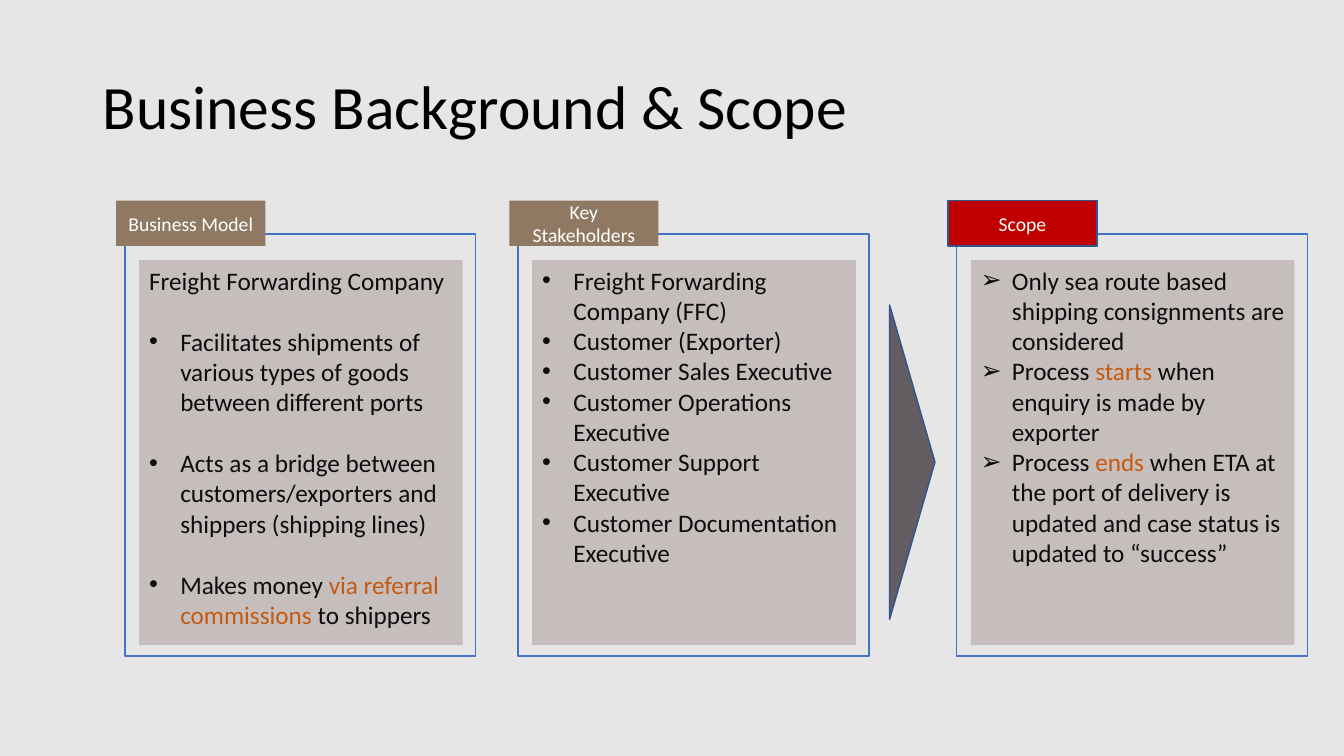
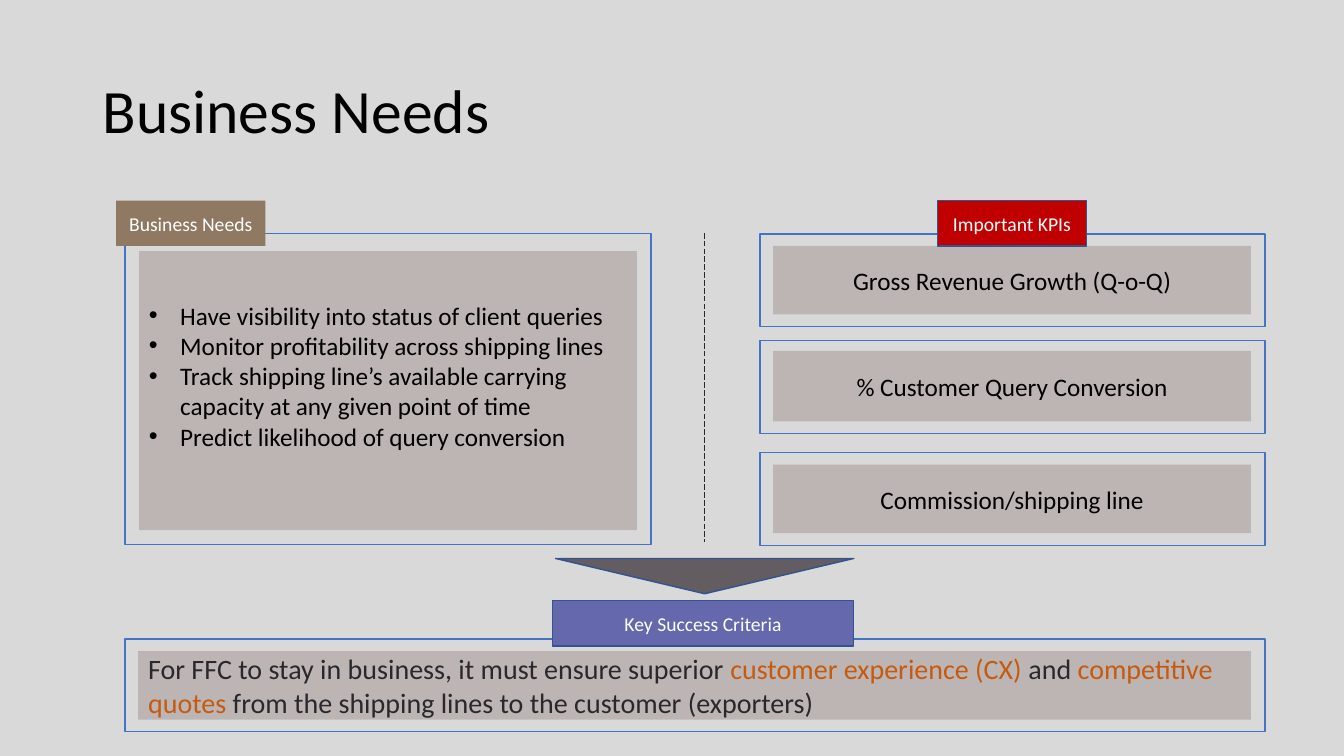
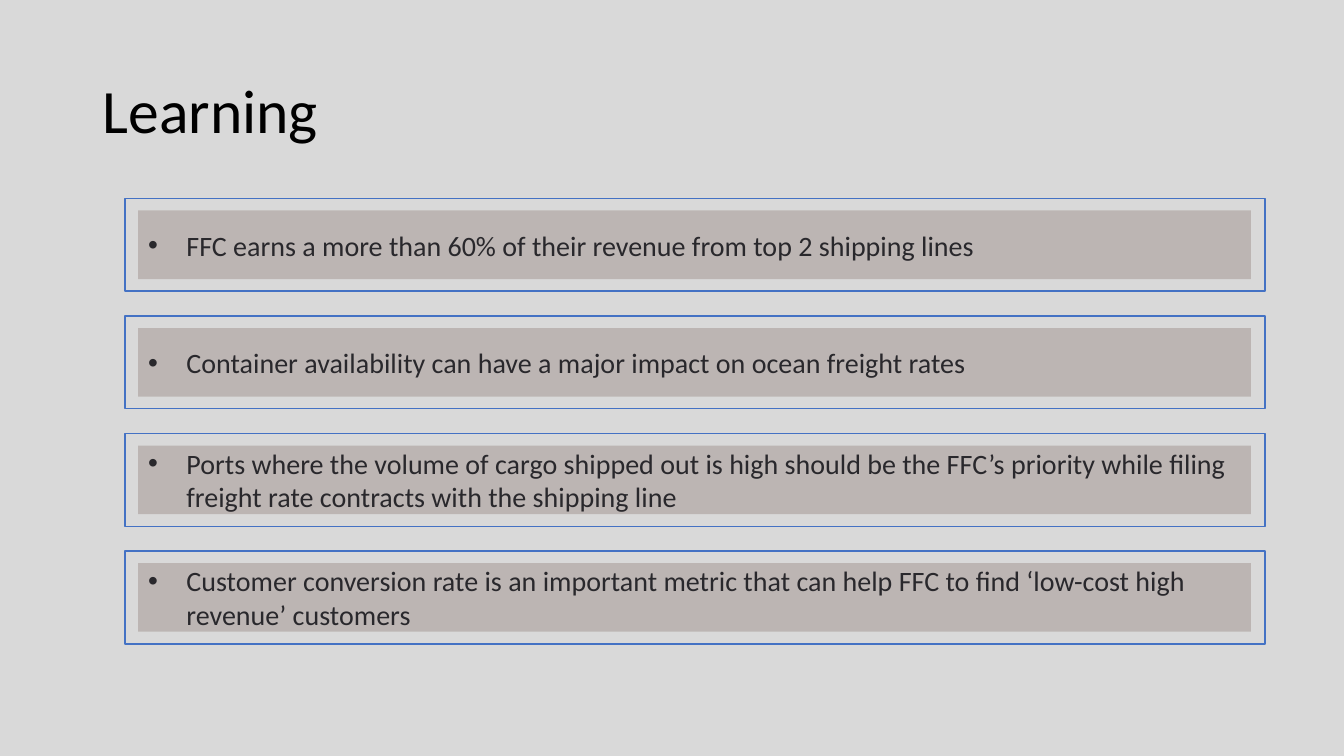
from collections import namedtuple

from lxml import etree
from pptx import Presentation
from pptx.dml.color import RGBColor
from pptx.enum.dml import MSO_LINE
from pptx.enum.shapes import MSO_CONNECTOR, MSO_SHAPE
from pptx.enum.text import MSO_ANCHOR, PP_ALIGN
from pptx.oxml.ns import qn
from pptx.util import Inches, Pt

RECTANGLE = MSO_SHAPE.RECTANGLE
TRIANGLE = MSO_SHAPE.ISOSCELES_TRIANGLE
STRAIGHT = MSO_CONNECTOR.STRAIGHT
LONG_DASH = MSO_LINE.LONG_DASH
TOP, MIDDLE = MSO_ANCHOR.TOP, MSO_ANCHOR.MIDDLE
LEFT, CENTER = PP_ALIGN.LEFT, PP_ALIGN.CENTER

SLIDE_WIDTH, SLIDE_HEIGHT = Inches(13.33), Inches(7.5)
FONT = "Calibri"
COLORS = {
    "light": "E7E6E6", "grey": "D9D9D9", "black": "000000", "white": "FFFFFF",
    "ink": "0D0D0D", "charcoal": "29282C", "accent": "C55A11",
    "frame": "4472C4", "edge": "325491", "panel": "7D6661",
    "brown": "8F7962", "red": "C00000", "violet": "6568AC", "arrow": "635C60",
}
PANEL_OPACITY = 31

# All boxes and insets are percentages of the slide's width and height.
Box = namedtuple("Box", "left top width height")
Inset = namedtuple("Inset", "left top right bottom")
Tab = namedtuple("Tab", "label color edge shift rise width", defaults=(None, -0.65, 4.4, 11.1))

TAB_HEIGHT = 6
BODY_LEFT, BODY_TOP = 9.3, 30.93
BAR_WIDTH, BAR_HEIGHT = 84.83, 12.27
COLUMN_INSET = Inset(1.05, 3.47, 0.97, 1.47)
NEEDS_INSET = Inset(1.05, 2.27, 1.05, 1.87)
BAR_INSET = Inset(0.98, 1.6, 1.05, 1.6)

TITLE_TEXT = {"size": 44, "color": "black", "anchor": MIDDLE, "line_spacing": 0.9}
TAB_TEXT = {"size": 14, "color": "white", "anchor": MIDDLE, "align": CENTER}
COLUMN_TEXT = {"size": 18, "color": "ink", "bullet": "•", "indent": 0.31}
NEEDS_TEXT = {**COLUMN_TEXT, "color": "black", "anchor": MIDDLE, "margin_bottom": 0.35}
KPI_TEXT = {"size": 18, "color": "black", "anchor": MIDDLE, "align": CENTER}
BAR_TEXT = {"size": 20, "color": "charcoal", "anchor": MIDDLE}
LEARNING_TEXT = {**BAR_TEXT, "bullet": "•", "indent": 0.38}


def rgb(name):
    return RGBColor.from_string(COLORS[name])


def across(share):
    return round(SLIDE_WIDTH * share / 100)


def down(share):
    return round(SLIDE_HEIGHT * share / 100)


def place(box):
    return across(box.left), down(box.top), across(box.width), down(box.height)


def shrink(box, inset):
    return Box(box.left + inset.left, box.top + inset.top,
               box.width - inset.left - inset.right,
               box.height - inset.top - inset.bottom)


def add_bullet(para, mark, indent):
    properties = para._p.get_or_add_pPr()
    properties.set("marL", str(Inches(indent)))
    properties.set("indent", str(-Inches(indent)))
    etree.SubElement(properties, qn("a:buFont")).set("typeface", "Arial")
    etree.SubElement(properties, qn("a:buChar")).set("char", mark)


def write(shape, lines, size, color, anchor=TOP, align=LEFT, bullet=None, indent=0,
          plain_lines=0, gap=0, line_spacing=None, margin_bottom=0.05):
    frame = shape.text_frame
    settings = {"word_wrap": True, "vertical_anchor": anchor,
                "margin_bottom": Inches(margin_bottom)}
    for name, value in settings.items():
        setattr(frame, name, value)
    for number, line in enumerate(lines):
        para = frame.add_paragraph() if number else frame.paragraphs[0]
        para.alignment = align
        if line_spacing:
            para.line_spacing = line_spacing
        if gap and number:
            para.space_before = Pt(gap)
        if bullet and number >= plain_lines:
            add_bullet(para, bullet, indent)
        for part, words in enumerate(line.split("*")):
            if words:
                span = para.add_run()
                span.text = words
                for name, value in {"name": FONT, "size": Pt(size)}.items():
                    setattr(span.font, name, value)
                span.font.color.rgb = rgb("accent" if part % 2 else color)


def add_block(page, box, fill=None, edge=None, kind=RECTANGLE):
    block = page.shapes.add_shape(kind, *place(box))
    block.shadow.inherit = False
    if fill:
        block.fill.solid()
        block.fill.fore_color.rgb = rgb(fill)
    else:
        block.fill.background()
    if edge:
        block.line.color.rgb = rgb(edge)
        block.line.width = Pt(1)
    else:
        block.line.fill.background()
    return block


def add_panel(page, box, lines, style):
    panel = add_block(page, box, "panel")
    color = panel._element.spPr.find(qn("a:solidFill"))[0]
    etree.SubElement(color, qn("a:alpha")).set("val", str(PANEL_OPACITY * 1000))
    write(panel, lines, **style)


def add_card(page, box, inset, lines, style, tab=None):
    add_block(page, box, edge="frame")
    add_panel(page, shrink(box, inset), lines, style)
    if tab:
        tab_box = Box(box.left + tab.shift, box.top - tab.rise, tab.width, TAB_HEIGHT)
        write(add_block(page, tab_box, tab.color, tab.edge), [tab.label], **TAB_TEXT)


def add_arrow(page, box, rotation):
    add_block(page, box, "arrow", "edge", TRIANGLE).rotation = rotation


def add_divider(page, left, top, bottom):
    divider = page.shapes.add_connector(
        STRAIGHT, across(left), down(top), across(left), down(bottom))
    divider.line.color.rgb = rgb("charcoal")
    for name, value in {"width": Pt(0.5), "dash_style": LONG_DASH}.items():
        setattr(divider.line, name, value)
    etree.SubElement(divider._element.spPr, qn("a:effectLst"))


def start_page(deck, title, background="grey", title_top=5.33):
    page = deck.slides.add_slide(deck.slide_layouts[6])
    page.background.fill.solid()
    page.background.fill.fore_color.rgb = rgb(background)
    heading = page.shapes.add_textbox(*place(Box(6.9, title_top, 86.25, 19.33)))
    write(heading, [title], **TITLE_TEXT)
    return page


def build_background(deck):
    page = start_page(deck, "Business Background & Scope", "light", 4.8)
    columns = [
        (BODY_LEFT, Tab("Business Model", "brown"), {"plain_lines": 1, "gap": 22}, [
            "Freight Forwarding Company",
            "Facilitates shipments of various types of goods between different ports",
            "Acts as a bridge between customers/exporters and shippers (shipping lines)",
            "Makes money *via referral commissions *to shippers"]),
        (38.55, Tab("Key Stakeholders", "brown"), {}, [
            "Freight Forwarding Company (FFC)",
            "Customer (Exporter)",
            "Customer Sales Executive",
            "Customer Operations Executive",
            "Customer Support Executive",
            "Customer Documentation Executive"]),
        (71.18, Tab("Scope", "red", "edge"), {"bullet": "➢"}, [
            "Only sea route based shipping consignments are considered",
            "Process *starts* when enquiry is made by exporter",
            "Process *ends* when ETA at the port of delivery is updated "
            "and case status is updated to “success”"]),
    ]
    for left, tab, changes, lines in columns:
        add_card(page, Box(left, BODY_TOP, 26.1, 55.87), COLUMN_INSET, lines,
                 {**COLUMN_TEXT, **changes}, tab)
    add_arrow(page, Box(56.18, 58.13, 23.4, 6), 90)


def build_needs(deck):
    page = start_page(deck, "Business Needs")
    add_card(page, Box(BODY_LEFT, BODY_TOP, 39.15, 41.07), NEEDS_INSET, [
        "Have visibility into status of client queries",
        "Monitor profitability across shipping lines",
        "Track shipping line’s available carrying capacity at any given point of time",
        "Predict likelihood of query conversion"],
        NEEDS_TEXT, Tab("Business Needs", "brown"))
    kpis = [
        (BODY_TOP, 1.6, "Gross Revenue Growth (Q-o-Q)",
         Tab("Important KPIs", "red", "edge", shift=13.2)),
        (45.07, 1.33, "% Customer Query Conversion", None),
        (59.87, 1.6, "Commission/shipping line", None),
    ]
    for top, inset_top, label, tab in kpis:
        add_card(page, Box(56.55, top, 37.58, BAR_HEIGHT),
                 BAR_INSET._replace(top=inset_top), [label], KPI_TEXT, tab)
    add_divider(page, 52.43, 30.8, 71.73)
    add_arrow(page, Box(41.33, 73.87, 22.2, 4.67), 180)
    add_card(page, Box(BODY_LEFT, 84.53, BAR_WIDTH, BAR_HEIGHT), BAR_INSET, [
        "For FFC to stay in business, it must ensure superior "
        "*customer experience (CX) *and *competitive quotes* "
        "from the shipping lines to the customer (exporters)"],
        BAR_TEXT, Tab("Key Success Criteria", "violet", "edge", 31.8, 5.06, 22.43))


def build_learning(deck):
    page = start_page(deck, "Learning")
    lessons = [
        "FFC earns a more than 60% of their revenue from top 2 shipping lines",
        "Container availability can have a major impact on ocean freight rates",
        "Ports where the volume of cargo shipped out is high should be the FFC’s "
        "priority while filing freight rate contracts with the shipping line",
        "Customer conversion rate is an important metric that can help FFC to find "
        "‘low-cost high revenue’ customers",
    ]
    first_top, pitch = 26.25, 15.55
    for row, lesson in enumerate(lessons):
        box = Box(BODY_LEFT, first_top + row * pitch, BAR_WIDTH, BAR_HEIGHT)
        add_card(page, box, BAR_INSET, [lesson], LEARNING_TEXT)


def main():
    deck = Presentation()
    deck.slide_width, deck.slide_height = SLIDE_WIDTH, SLIDE_HEIGHT
    for build in (build_background, build_needs, build_learning):
        build(deck)
    deck.save("out.pptx")


if __name__ == "__main__":
    main()
